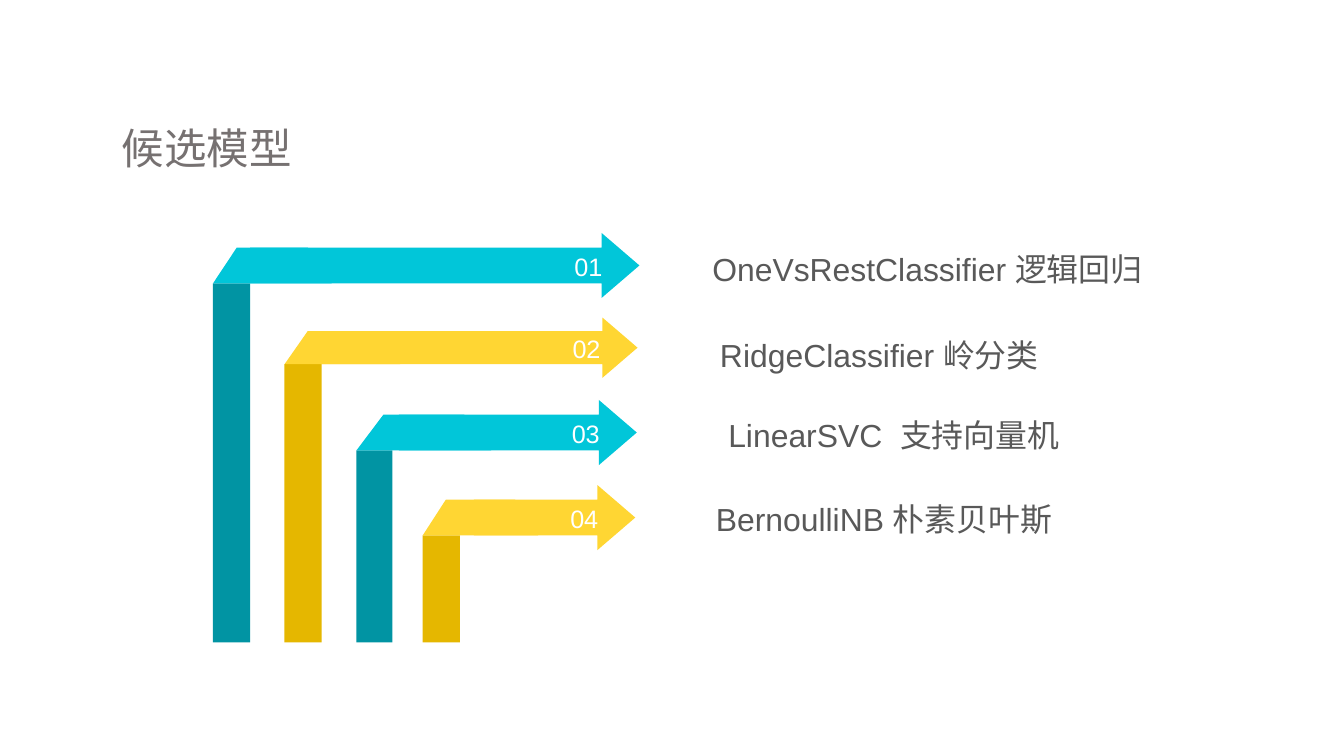
from dataclasses import dataclass

from pptx import Presentation
from pptx.dml.color import RGBColor
from pptx.enum.shapes import MSO_SHAPE
from pptx.enum.text import MSO_ANCHOR, MSO_AUTO_SIZE, PP_ALIGN
from pptx.util import Cm, Pt

POST = MSO_SHAPE.RECTANGLE
ARROW = MSO_SHAPE.RIGHT_ARROW
FOLD = MSO_SHAPE.FLOWCHART_MANUAL_OPERATION
TOP, MIDDLE = MSO_ANCHOR.TOP, MSO_ANCHOR.MIDDLE
LEFT, CENTER, RIGHT = PP_ALIGN.LEFT, PP_ALIGN.CENTER, PP_ALIGN.RIGHT

COLOURS = {
    "teal": "01C6D9", "teal_dark": "0194A3",
    "yellow": "FFD633", "yellow_dark": "E5B700",
    "number": "FFFFFF", "label": "595959", "title": "767171",
}
FONT = "Arial"
POSTS_BOTTOM = 17.07
SHAFT_RATIO, HEAD_RATIO = 0.549, 0.582
NUMBER_WIDTH, NUMBER_HEIGHT, NUMBER_TO_TIP = 0.97, 0.61, 1.84
LABELS_LEFT, LABEL_HEIGHT = 18.0, 1.22


@dataclass(frozen=True)
class Box:
    """Left, top, width and height in centimetres."""
    left: float
    top: float
    width: float
    height: float

    def lengths(self) -> tuple:
        return Cm(self.left), Cm(self.top), Cm(self.width), Cm(self.height)


@dataclass(frozen=True)
class Candidate:
    """One model: its bent arrow and its label."""
    colour: str
    post_left: float
    post_width: float
    fold_width: float
    arrow: Box
    label: str
    label_top: float
    label_right: float
    line_spacing: float


CANDIDATES = [
    Candidate("teal", 5.66, 0.99, 3.15, Box(6.65, 6.19, 10.34, 1.73),
              "OneVsRestClassifier 逻辑回归", 6.43, 30.36, 1.2),
    Candidate("yellow", 7.56, 0.99, 3.07, Box(8.53, 8.44, 8.41, 1.6),
              "RidgeClassifier 岭分类", 8.73, 27.6, 1.2),
    Candidate("teal", 9.47, 0.96, 3.58, Box(10.6, 10.63, 6.32, 1.73),
              "LinearSVC  支持向量机", 11.05, 28.15, 1.0),
    Candidate("yellow", 11.23, 0.99, 3.07, Box(12.59, 12.89, 4.29, 1.73),
              "BernoulliNB 朴素贝叶斯", 13.28, 27.96, 1.0),
]


def write(shape, box: Box, text: str, size: int, colour: str, align,
          anchor, wrap: bool = True, line_spacing: float = 1.0) -> None:
    """Place a text shape and format its single paragraph."""
    shape.left, shape.top, shape.width, shape.height = box.lengths()
    frame = shape.text_frame
    frame.text = text
    paragraph = frame.paragraphs[0]
    formats = {
        frame: {"margin_left": 0, "margin_top": 0, "margin_right": 0,
                "margin_bottom": 0, "word_wrap": wrap,
                "vertical_anchor": anchor, "auto_size": MSO_AUTO_SIZE.NONE},
        paragraph: {"alignment": align, "line_spacing": line_spacing},
        paragraph.runs[0].font: {"name": FONT, "size": Pt(size)},
    }
    for target, values in formats.items():
        for attribute, value in values.items():
            setattr(target, attribute, value)
    paragraph.runs[0].font.color.rgb = RGBColor.from_string(COLOURS[colour])


def add_block(slide, kind, box: Box, colour: str):
    """Add a flat filled shape without outline."""
    block = slide.shapes.add_shape(kind, *box.lengths())
    block.shadow.inherit = False
    block.fill.solid()
    block.fill.fore_color.rgb = RGBColor.from_string(COLOURS[colour])
    block.line.fill.background()
    return block


def add_text(slide, box: Box, *args, **formats) -> None:
    write(slide.shapes.add_textbox(*box.lengths()), box, *args, **formats)


def add_candidate(slide, number: int, model: Candidate) -> None:
    arrow = model.arrow
    shaft = arrow.height * SHAFT_RATIO
    middle = arrow.top + arrow.height / 2
    fold_top = middle - shaft / 2
    post_top = fold_top + shaft

    # Post, arrow and the fold that joins them
    add_block(slide, POST, Box(model.post_left, post_top, model.post_width,
                               POSTS_BOTTOM - post_top), f"{model.colour}_dark")
    pointer = add_block(slide, ARROW, arrow, model.colour)
    pointer.adjustments[0] = SHAFT_RATIO
    pointer.adjustments[1] = HEAD_RATIO
    fold = add_block(slide, FOLD, Box(model.post_left, fold_top,
                                      model.fold_width, shaft), model.colour)
    fold.rotation = 180

    # Number near the arrow tip
    number_box = Box(arrow.left + arrow.width - NUMBER_TO_TIP,
                     middle - NUMBER_HEIGHT / 2 + 0.03,
                     NUMBER_WIDTH, NUMBER_HEIGHT)
    add_text(slide, number_box, f"{number:02d}", 19, "number", CENTER, MIDDLE,
             wrap=False)

    # Model name, wide enough for one line
    label_box = Box(LABELS_LEFT, model.label_top,
                    model.label_right - LABELS_LEFT, LABEL_HEIGHT)
    add_text(slide, label_box, model.label, 24, "label", RIGHT, TOP,
             line_spacing=model.line_spacing)


def main() -> None:
    deck = Presentation()
    deck.slide_width, deck.slide_height = Cm(35.71), Cm(20.09)
    slide = deck.slides.add_slide(deck.slide_layouts[5])

    # Title
    write(slide.shapes.title, Box(3.23, 3.23, 10.97, 1.37), "候选模型", 32,
          "title", LEFT, MIDDLE)

    # Candidate models
    for number, model in enumerate(CANDIDATES, start=1):
        add_candidate(slide, number, model)

    deck.save("out.pptx")


if __name__ == "__main__":
    main()
